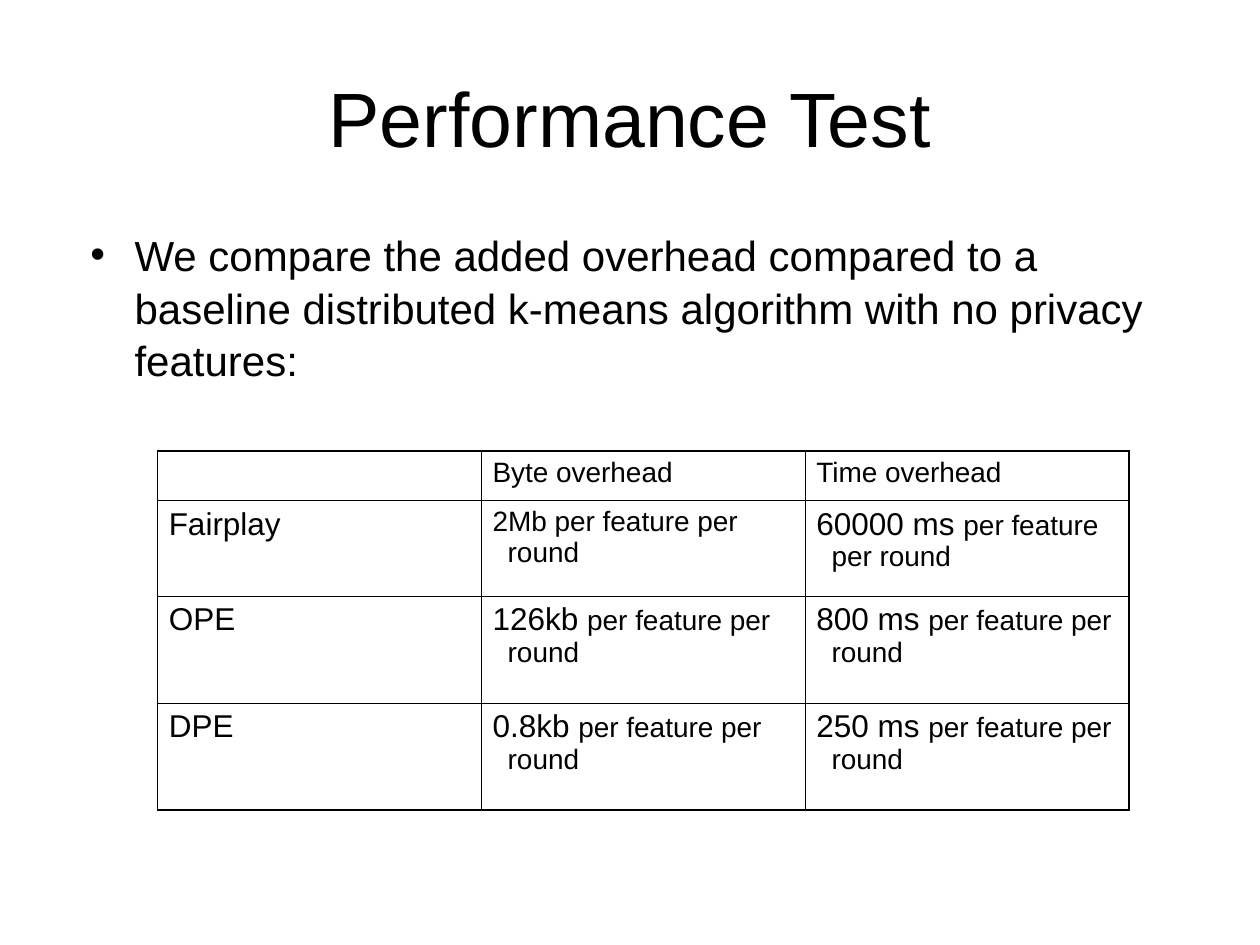
from lxml import etree
from pptx import Presentation
from pptx.dml.color import RGBColor
from pptx.enum.text import MSO_ANCHOR, PP_ALIGN
from pptx.oxml.ns import qn
from pptx.util import Inches, Pt

BLACK = RGBColor(0x00, 0x00, 0x00)
FONT = "Arial"
CENTER, MIDDLE = PP_ALIGN.CENTER, MSO_ANCHOR.MIDDLE
OUTER_LINE, INNER_LINE = Pt(1.08), Pt(0.45)

TITLE = "Performance Test"
BULLET = ("We compare the added overhead compared to a baseline distributed "
          "k-means algorithm with no privacy features:")
RATE = ("per feature per round", 16)
# Each cell is a list of (text, size) runs.
ROWS = [
    [[], [("Byte overhead", 16)], [("Time overhead", 16)]],
    [[("Fairplay", 18)], [("2Mb ", 16), RATE], [("60000 ms ", 18), RATE]],
    [[("OPE", 18)], [("126kb ", 18), RATE], [("800 ms ", 18), RATE]],
    [[("DPE", 18)], [("0.8kb ", 18), RATE], [("250 ms ", 18), RATE]],
]
COLUMN_WIDTH = 2.57
ROW_HEIGHTS = [0.39, 0.76, 0.85, 0.85]


def style(font, size):
    font.name, font.size = FONT, Pt(size)
    font.color.rgb = BLACK


def set_indent(paragraph, left, first):
    properties = paragraph._p.get_or_add_pPr()
    properties.set("marL", str(Inches(left)))
    properties.set("indent", str(Inches(first)))
    return properties


def add_text(slide, text, size, left, top, width, height):
    frame = slide.shapes.add_textbox(
        Inches(left), Inches(top), Inches(width), Inches(height)).text_frame
    frame.word_wrap = True
    frame.text = text
    paragraph = frame.paragraphs[0]
    style(paragraph.runs[0].font, size)
    return frame, paragraph


def add_border(cell, side, width):
    properties = cell._tc.get_or_add_tcPr()
    line = etree.SubElement(properties, qn(f"a:ln{side}"), w=str(width))
    fill = etree.SubElement(line, qn("a:solidFill"))
    etree.SubElement(fill, qn("a:srgbClr"), val=str(BLACK))


def fill_cell(cell, runs):
    cell.margin_left = cell.margin_right = Inches(0.09)
    cell.margin_top = cell.margin_bottom = Inches(0.05)
    paragraph = cell.text_frame.paragraphs[0]
    set_indent(paragraph, 0.12, -0.12)
    if not runs:
        style(paragraph.font, 16)
    for text, size in runs:
        run = paragraph.add_run()
        run.text = text
        style(run.font, size)


def add_overhead_table(slide):
    row_count, column_count = len(ROWS), len(ROWS[0])
    table = slide.shapes.add_table(
        row_count, column_count, Inches(1.25), Inches(3.58),
        Inches(COLUMN_WIDTH * column_count), Inches(sum(ROW_HEIGHTS))).table
    table.first_row = table.horz_banding = False
    for column in table.columns:
        column.width = Inches(COLUMN_WIDTH)
    for row, height in zip(table.rows, ROW_HEIGHTS):
        row.height = Inches(height)
    for r, row in enumerate(ROWS):
        for c, runs in enumerate(row):
            cell = table.cell(r, c)
            fill_cell(cell, runs)
            on_edge = {"L": c == 0, "R": c == column_count - 1,
                       "T": r == 0, "B": r == row_count - 1}
            for side, outer in on_edge.items():
                add_border(cell, side, OUTER_LINE if outer else INNER_LINE)
            cell.fill.background()


def main():
    presentation = Presentation()
    presentation.slide_width, presentation.slide_height = Inches(10), Inches(7.5)
    slide = presentation.slides.add_slide(presentation.slide_layouts[6])

    _, paragraph = add_text(slide, BULLET, 24, 0.5, 1.75, 9, 1.65)
    paragraph.line_spacing = 1.05
    properties = set_indent(paragraph, 0.47, -0.35)
    etree.SubElement(properties, qn("a:buFont"), typeface=FONT)
    etree.SubElement(properties, qn("a:buChar"), char="•")

    add_overhead_table(slide)

    frame, paragraph = add_text(slide, TITLE, 44, 0.5, 0.3, 9, 1.25)
    frame.vertical_anchor = MIDDLE
    paragraph.alignment = CENTER

    presentation.save("out.pptx")


if __name__ == "__main__":
    main()
